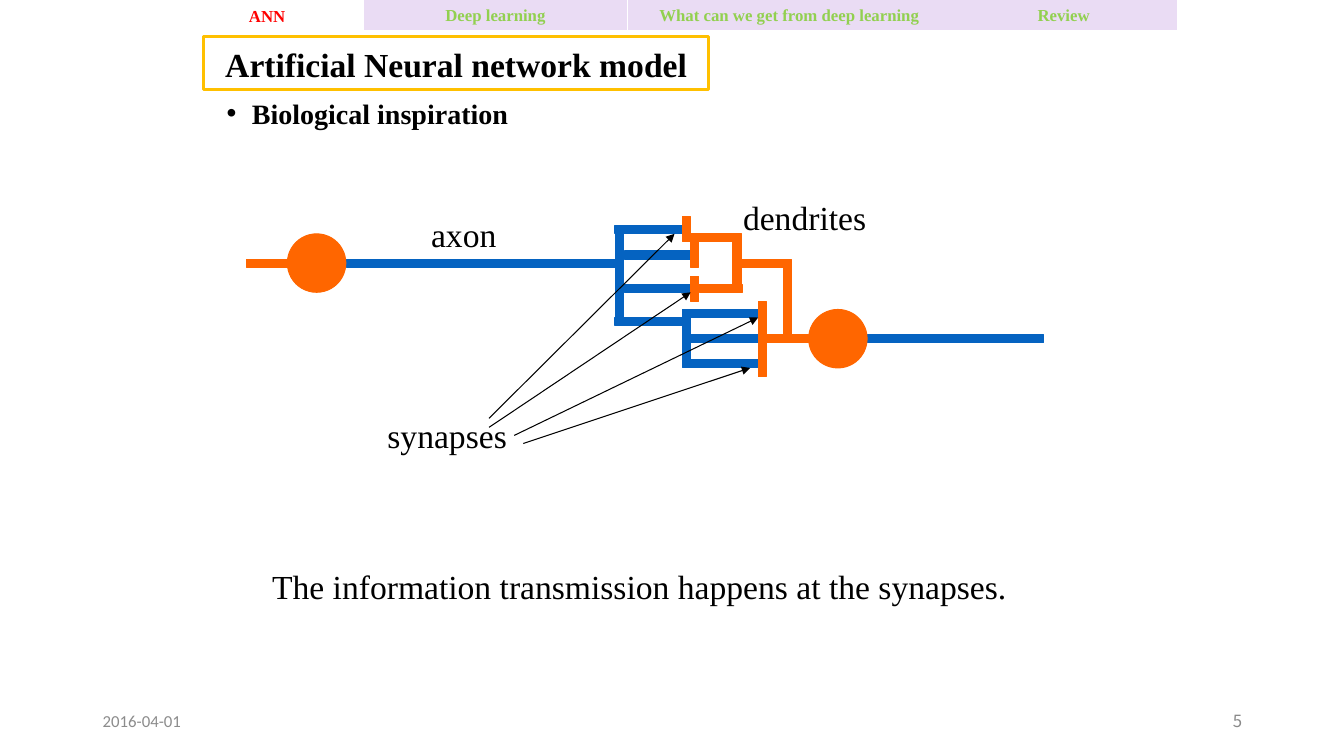
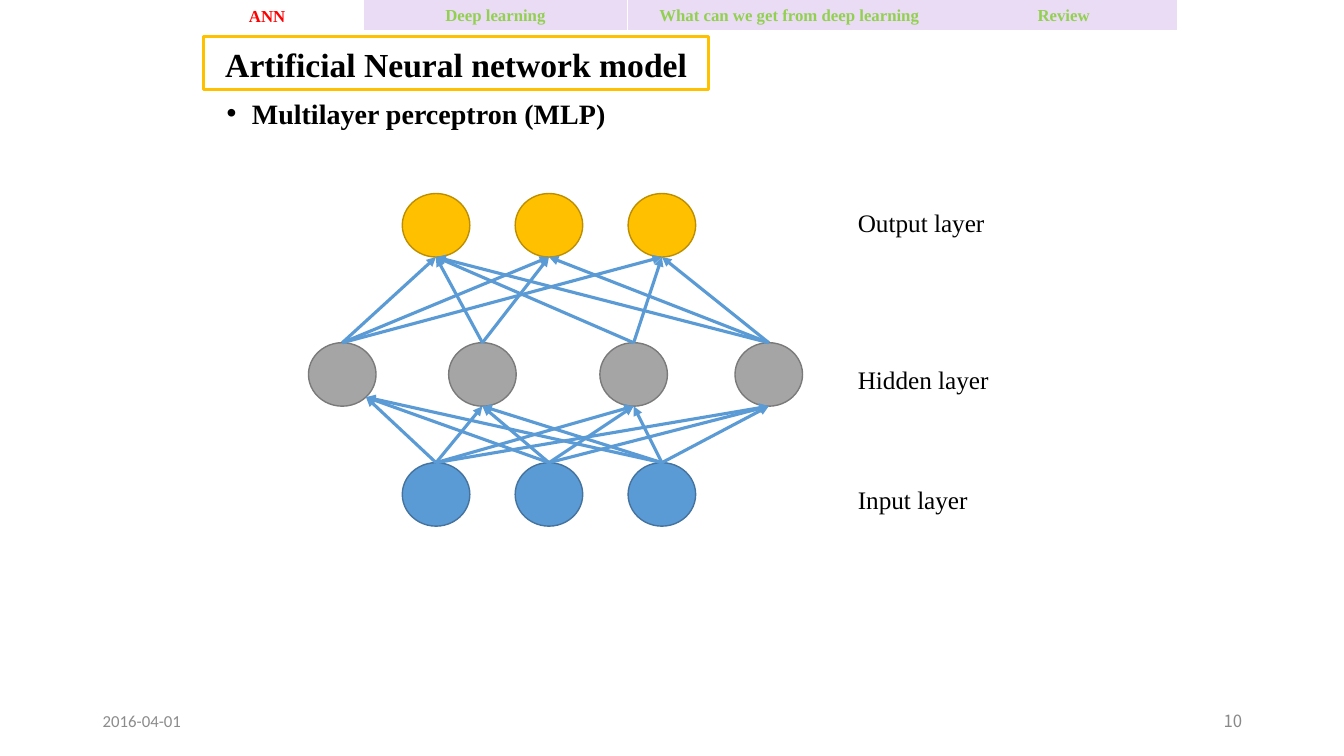
from itertools import product
from typing import NamedTuple

from lxml import etree
from pptx import Presentation
from pptx.dml.color import RGBColor
from pptx.enum import shapes, text
from pptx.oxml.ns import qn
from pptx.util import Inches, Pt

BLACK = RGBColor(0x00, 0x00, 0x00)
WHITE = RGBColor(0xFF, 0xFF, 0xFF)
RED = RGBColor(0xFF, 0x00, 0x00)
GREEN = RGBColor(0x92, 0xD0, 0x50)
LILAC = RGBColor(0xEA, 0xDC, 0xF4)
GOLD = RGBColor(0xFF, 0xC0, 0x00)
BRONZE = RGBColor(0xBD, 0x8E, 0x00)
ORANGE = RGBColor(0xFF, 0x66, 0x00)
BLUE = RGBColor(0x05, 0x63, 0xC1)
SKY = RGBColor(0x5B, 0x9B, 0xD5)
STEEL = RGBColor(0x43, 0x73, 0x9E)
GREY = RGBColor(0xA5, 0xA5, 0xA5)
SLATE = RGBColor(0x7A, 0x7A, 0x7A)
DATE = RGBColor(0x8C, 0x8C, 0x8C)
PAGE = RGBColor(0x89, 0x89, 0x89)

SERIF = "Times New Roman"
KIND = shapes.MSO_SHAPE
LEFT, MID, RIGHT = text.PP_ALIGN.LEFT, text.PP_ALIGN.CENTER, text.PP_ALIGN.RIGHT
TOP, CORE, BASE = text.MSO_ANCHOR.TOP, text.MSO_ANCHOR.MIDDLE, text.MSO_ANCHOR.BOTTOM


class Box(NamedTuple):
    x: float
    y: float
    w: float
    h: float

    def lengths(self) -> list:
        return [Inches(v) for v in self]


class Tab(NamedTuple):
    label: str
    box: Box
    fill: RGBColor
    ink: RGBColor


class Layer(NamedTuple):
    label: str
    note: float
    top: float
    lefts: tuple
    fill: RGBColor
    edge: RGBColor


TABS = (
    Tab("ANN", Box(1.68, 0, 1.94, 0.31), WHITE, RED),
    Tab("Deep learning", Box(3.61, -0.01, 2.61, 0.31), LILAC, GREEN),
    Tab("What can we get from deep learning", Box(6.23, -0.01, 3.2, 0.31), LILAC, GREEN),
    Tab("Review", Box(9.43, -0.01, 2.24, 0.31), LILAC, GREEN),
)

# Neuron drawing: bar thickness, branch lengths and the soma diameter
THICK, STUB, TWIG, CAP, SOMA = 0.08, 0.67, 0.42, 0.25, 0.58
STUBS = ((6.1, 2.24), (6.19, 2.49), (6.19, 2.82), (6.1, 3.15),
         (6.85, 3.07), (6.85, 3.32), (6.85, 3.57))
AXONS = (Box(3.44, 2.57, 2.67, THICK), Box(8.6, 3.32, 1.75, THICK),
         Box(6.1, 2.32, THICK, 0.83), Box(6.77, 3.07, THICK, SOMA))
CAPS = ((6.77, 2.15), (6.85, 2.4), (6.85, 2.74),
        *((7.52, 2.99 + CAP * i) for i in range(3)))
TWIGS = ((2.44, 2.57), (6.85, 2.32), (6.94, 2.82), (7.35, 2.57), (7.6, 3.32))
TRUNKS = (Box(7.27, 2.32, THICK, 0.5), Box(7.77, 2.57, THICK, 0.83))
SOMAS = ((2.85, 2.32), (8.02, 3.07))
ARROWS = (((4.85, 4.24), (6.85, 2.9)), ((5.1, 4.32), (7.52, 3.15)),
          ((5.19, 4.4), (7.44, 3.65)), ((4.85, 4.15), (6.69, 2.32)))

# Perceptron drawing: node size, layers and the links between them
WIDE, HIGH = 0.67, 0.63
TRIO = tuple(3.99 + 1.12 * i for i in range(3))
INPUT = Layer("Input layer", 4.76, 4.59, TRIO, SKY, STEEL)
HIDDEN = Layer("Hidden layer", 3.57, 3.4, (3.06, 4.45, 5.95, 7.29), GREY, SLATE)
OUTPUT = Layer("Output layer", 2.01, 1.92, TRIO, GOLD, BRONZE)
MISSING = {(1, 2), (2, 1)}


def write(shape, words: str, *, size: float, ink=BLACK, font=SERIF, bold=False,
          align=LEFT, anchor=TOP, wrap=True, line=None, after=None, bullet=False):
    frame = shape.text_frame
    frame.auto_size = text.MSO_AUTO_SIZE.NONE
    frame.word_wrap = wrap
    frame.vertical_anchor = anchor
    para = frame.paragraphs[0]
    para.alignment = align
    if line:
        para.line_spacing = line
    if after:
        para.space_after = Pt(after)
    if bullet:
        props = para._p.get_or_add_pPr()
        props.set("marL", str(Inches(0.25)))
        props.set("indent", str(-Inches(0.25)))
        face = etree.SubElement(props, qn("a:buFont"))
        face.set("typeface", "Arial")
        etree.SubElement(props, qn("a:buChar")).set("char", "•")
    run = para.add_run()
    run.text = words
    run.font.name, run.font.size, run.font.bold = font, Pt(size), bold
    run.font.color.rgb = ink


def label(slide, box: Box, words: str, **style):
    write(slide.shapes.add_textbox(*box.lengths()), words, **style)


def paint(shape, fill: RGBColor, edge=None, width: float = 0.75):
    shape.fill.solid()
    shape.fill.fore_color.rgb = fill
    if edge is None:
        shape.line.fill.background()
    else:
        shape.line.color.rgb = edge
        shape.line.width = Pt(width)


def draw(slide, kind, box: Box, fill: RGBColor, edge=None, width: float = 0.75):
    shape = slide.shapes.add_shape(kind, *box.lengths())
    shape.shadow.inherit = False
    paint(shape, fill, edge, width)
    return shape


def arrow(slide, start: tuple, end: tuple, ink: RGBColor, width: float):
    link = slide.shapes.add_connector(
        shapes.MSO_CONNECTOR.STRAIGHT, *(Inches(v) for v in (*start, *end)))
    link.line.color.rgb = ink
    link.line.width = Pt(width)
    tail = etree.SubElement(link.line._get_or_add_ln(), qn("a:tailEnd"))
    tail.set("type", "triangle")
    etree.SubElement(link._element.spPr, qn("a:effectLst"))
    return link


def start(deck, topic: str, page: int):
    """Add a slide with the tabs, title, topic and footer that all slides share."""
    slide = deck.slides.add_slide(deck.slide_layouts[5])
    title = slide.shapes.title
    title.left, title.top, title.width, title.height = Box(2.02, 0.36, 5.01, 0.53).lengths()
    paint(title, WHITE, GOLD, 2)
    write(title, "Artificial Neural network model", size=24, bold=True,
          align=MID, anchor=CORE, line=1.07, after=8)
    label(slide, Box(2.15, 0.88, 9, 0.55), topic, size=20, bold=True,
          line=1.07, after=8, bullet=True)
    for tab in TABS:
        shape = draw(slide, KIND.ACTION_BUTTON_CUSTOM, tab.box, tab.fill)
        write(shape, tab.label, size=12, ink=tab.ink, bold=True,
              align=MID, anchor=BASE, wrap=False)
    label(slide, Box(0.92, 6.95, 3, 0.4), "2016-04-01", size=12, ink=DATE,
          font="Calibri", anchor=CORE)
    label(slide, Box(9.42, 6.95, 3, 0.4), str(page), size=12, ink=PAGE,
          font="Noto Sans CJK KR", align=RIGHT, anchor=CORE)
    return slide


def neuron(deck):
    slide = start(deck, "Biological inspiration", 5)
    blue = [*AXONS, *(Box(x, y, STUB, THICK) for x, y in STUBS)]
    orange = [*TRUNKS, *(Box(x, y, THICK, CAP) for x, y in CAPS),
              *(Box(x, y, TWIG, THICK) for x, y in TWIGS)]
    for bars, ink in ((blue, BLUE), (orange, ORANGE)):
        for bar in bars:
            draw(slide, KIND.RECTANGLE, bar, ink, ink)
    for x, y in SOMAS:
        draw(slide, KIND.OVAL, Box(x, y, SOMA, SOMA), ORANGE, ORANGE)
    for tail, tip in ARROWS:
        arrow(slide, tail, tip, BLACK, 0.75)
    for words, box in (("synapses", Box(3.52, 4.07, 1.83, 0.5)),
                       ("axon", Box(3.85, 2.07, 1.5, 0.5)),
                       ("dendrites", Box(7.19, 1.9, 1.58, 0.5))):
        label(slide, box, words, size=24, align=MID)
    label(slide, Box(2.6, 5.57, 8.08, 0.5),
          "The information transmission happens at the synapses.", size=24)


def join(slide, node, left: float, tip: tuple, top: float):
    """Link the top of a node to a point on the layer above."""
    link = arrow(slide, (left + WIDE / 2, top), tip, SKY, 2.25)
    link.begin_connect(node, 0)


def network(deck):
    slide = start(deck, "Multilayer perceptron (MLP)", 10)
    nodes = {}
    for layer in (INPUT, HIDDEN, OUTPUT):
        nodes[layer.label] = [
            draw(slide, KIND.OVAL, Box(x, layer.top, WIDE, HIGH), layer.fill, layer.edge, 1)
            for x in layer.lefts]
        label(slide, Box(8.41, layer.note, 1.8, 0.4), layer.label, size=18)
    for low, high in ((INPUT, HIDDEN), (HIDDEN, OUTPUT)):
        for (i, left), (j, goal) in product(enumerate(low.lefts), enumerate(high.lefts)):
            if low is HIDDEN and (i, j) in MISSING:
                continue
            tip = (goal + WIDE / 2, high.top + HIGH)
            if high is HIDDEN and j == 0:
                tip = (goal + 0.57, high.top + 0.54)
            join(slide, nodes[low.label][i], left, tip, low.top)


def main():
    deck = Presentation()
    deck.slide_width, deck.slide_height = Inches(13.33), Inches(7.5)
    neuron(deck)
    network(deck)
    deck.save("out.pptx")


if __name__ == "__main__":
    main()
